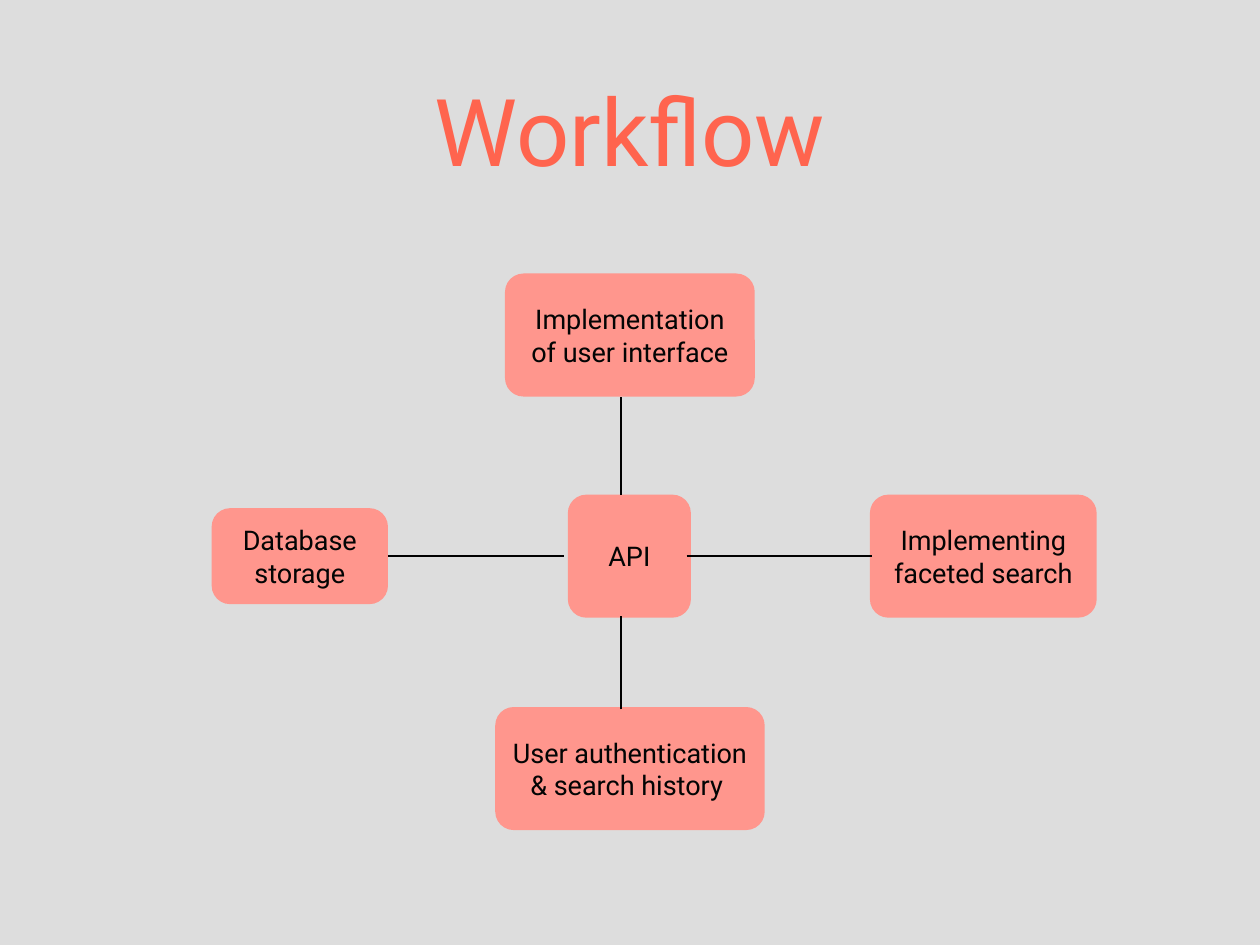
from lxml.etree import SubElement
from pptx import Presentation
from pptx.dml.color import RGBColor
from pptx.enum.shapes import MSO_CONNECTOR as Connector, MSO_SHAPE as Shape
from pptx.enum.text import MSO_ANCHOR as Anchor, PP_ALIGN as Align
from pptx.oxml.ns import qn
from pptx.util import Pt

COLOURS = {
    "background": "DDDDDD",
    "title": "FF644E",
    "step": "FF968D",
    "text": "030404",
    "line": "000000",
}
CORNER_RADIUS = 15
MIDDLE_Y = 452
SPINE_X = 504.7

# text, left, top, width, height
STEPS = [
    ("Database storage", 172, MIDDLE_Y - 39, 143.3, 78),
    ("Implementing faceted search", 707, MIDDLE_Y - 50, 184.3, 100),
    ("API", 461.5, MIDDLE_Y - 50, 100, 100),
    ("User authentication & search history ", 402.5, 574.6, 219, 100),
    ("Implementation of user interface", 410.4, 222.3, 203, 100),
]

# start x, start y, end x, end y
LINKS = [
    (315.3, MIDDLE_Y, 458.6, MIDDLE_Y),
    (SPINE_X, 402, SPINE_X, 322.5),
    (SPINE_X, 576.5, SPINE_X, 500.5),
    (558, MIDDLE_Y, 709, MIDDLE_Y),
]


def colour(name):
    return RGBColor.from_string(COLOURS[name])


def write_text(box, text, size, tint, inset):
    frame = box.text_frame
    frame.word_wrap = True
    frame.vertical_anchor = Anchor.MIDDLE
    frame.margin_left = frame.margin_right = Pt(inset)
    frame.margin_top = frame.margin_bottom = Pt(inset)
    para = frame.paragraphs[0]
    para.alignment = Align.CENTER
    span = para.add_run()
    span.text = text
    span.font.name = "Roboto"
    span.font.size = Pt(size)
    span.font.color.rgb = colour(tint)


def add_title(page, text):
    box = page.shapes.add_textbox(Pt(75), Pt(20), Pt(874), Pt(170))
    write_text(box, text, size=76, tint="title", inset=4)


def add_step(page, text, left, top, width, height):
    box = page.shapes.add_shape(
        Shape.ROUNDED_RECTANGLE, Pt(left), Pt(top), Pt(width), Pt(height))
    box.adjustments[0] = CORNER_RADIUS / min(width, height)
    box.shadow.inherit = False
    box.fill.solid()
    box.fill.fore_color.rgb = colour("step")
    box.line.fill.background()
    write_text(box, text, size=22, tint="text", inset=8.5)


def add_link(page, *ends):
    link = page.shapes.add_connector(Connector.STRAIGHT, *map(Pt, ends))
    link.line.width = Pt(2)
    link.line.color.rgb = colour("line")
    SubElement(link._element.spPr, qn("a:effectLst"))


def main():
    deck = Presentation()
    deck.slide_width, deck.slide_height = Pt(1024), Pt(768)
    page = deck.slides.add_slide(deck.slide_layouts[6])
    page.background.fill.solid()
    page.background.fill.fore_color.rgb = colour("background")

    add_title(page, "Workflow")
    for step in STEPS:
        add_step(page, *step)
    for link in LINKS:
        add_link(page, *link)
    deck.save("out.pptx")


if __name__ == "__main__":
    main()
